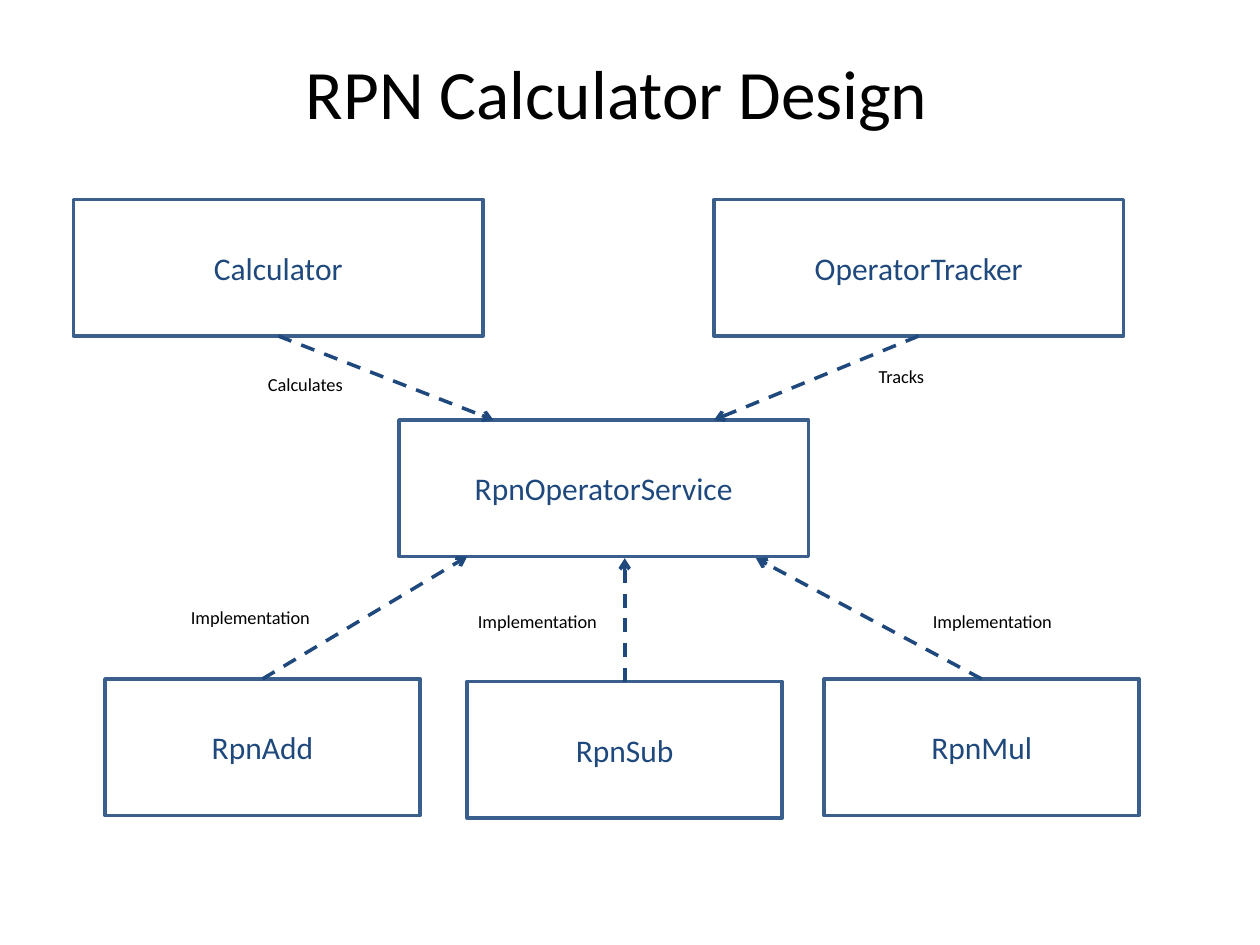
import pptx
import pptx.dml.color
import pptx.enum.dml
import pptx.enum.shapes
import pptx.enum.text
import pptx.oxml.ns
import pptx.util
from lxml import etree

Pt = pptx.util.Pt
Align = pptx.enum.text.PP_ALIGN
Anchor = pptx.enum.text.MSO_ANCHOR

FONT = "Calibri"
BLACK, NAVY, BORDER = "000000", "1F497D", "3A5F8C"
LINE_WIDTH = 2
BOX_HEIGHT = 78
WIDE, NARROW = 234, 180
LABEL_HEIGHT = 20

TITLE = ("RPN Calculator Design ", 33, 36, 648, 32.4)

# Name: left, top, width
BOXES = {
    "RpnOperatorService": (228, 240, WIDE),
    "Calculator": (42, 114, WIDE),
    "OperatorTracker": (408, 114, WIDE),
    "RpnAdd": (60, 388, NARROW),
    "RpnSub": (267, 389.5, NARROW),
    "RpnMul": (471, 388, NARROW),
}

# Box the arrow leaves from, x and y of its head on the service box
ARROWS = [
    ("RpnAdd", 267, 318),
    ("RpnSub", 357, 319),
    ("RpnMul", 432, 319),
    ("OperatorTracker", 408, 240),
    ("Calculator", 282, 240),
]

# Text, left, top, width
LABELS = [
    ("Implementation", 102, 343, 84),
    ("Implementation", 266, 345, 84),
    ("Implementation", 526, 345, 84),
    ("Tracks", 495, 205, 84),
    ("Calculates", 146, 210, 72),
]


def color(value):
    return pptx.dml.color.RGBColor.from_string(value)


def write(shape, text, size, ink, align=Align.CENTER, anchor=Anchor.MIDDLE):
    frame = shape.text_frame
    frame.text = text
    frame.word_wrap = True
    frame.vertical_anchor = anchor
    paragraph = frame.paragraphs[0]
    paragraph.alignment = align
    font = paragraph.runs[0].font
    font.name = FONT
    font.size = Pt(size)
    font.color.rgb = color(ink)


def add_text(page, text, left, top, width, height, size, **layout):
    box = page.shapes.add_textbox(Pt(left), Pt(top), Pt(width), Pt(height))
    write(box, text, size, BLACK, **layout)


def add_box(page, name, left, top, width):
    box = page.shapes.add_shape(
        pptx.enum.shapes.MSO_SHAPE.RECTANGLE, Pt(left), Pt(top), Pt(width), Pt(BOX_HEIGHT))
    box.shadow.inherit = False
    box.fill.background()
    box.line.color.rgb = color(BORDER)
    box.line.width = Pt(LINE_WIDTH)
    write(box, name, 18, NAVY)


def add_arrow(page, source, head_x, head_y):
    """Draw a dashed arrow from the middle of the source box's nearest edge."""
    left, top, width = BOXES[source]
    start_y = top if top > head_y else top + BOX_HEIGHT
    arrow = page.shapes.add_connector(
        pptx.enum.shapes.MSO_CONNECTOR.STRAIGHT,
        Pt(left + width / 2), Pt(start_y), Pt(head_x), Pt(head_y))
    arrow.line.color.rgb = color(NAVY)
    arrow.line.width = Pt(LINE_WIDTH)
    arrow.line.dash_style = pptx.enum.dml.MSO_LINE.DASH
    qn = pptx.oxml.ns.qn
    etree.SubElement(arrow.line._get_or_add_ln(), qn("a:tailEnd"), type="arrow")
    etree.SubElement(arrow._element.spPr, qn("a:effectLst"))


def main():
    deck = pptx.Presentation()
    deck.slide_width, deck.slide_height = Pt(720), Pt(540)
    page = deck.slides.add_slide(deck.slide_layouts[6])
    add_text(page, *TITLE, size=39.6)
    for name, place in BOXES.items():
        add_box(page, name, *place)
    for arrow in ARROWS:
        add_arrow(page, *arrow)
    for label in LABELS:
        add_text(page, *label, LABEL_HEIGHT, size=10.5, align=Align.LEFT, anchor=Anchor.TOP)
    deck.save("out.pptx")


if __name__ == "__main__":
    main()
